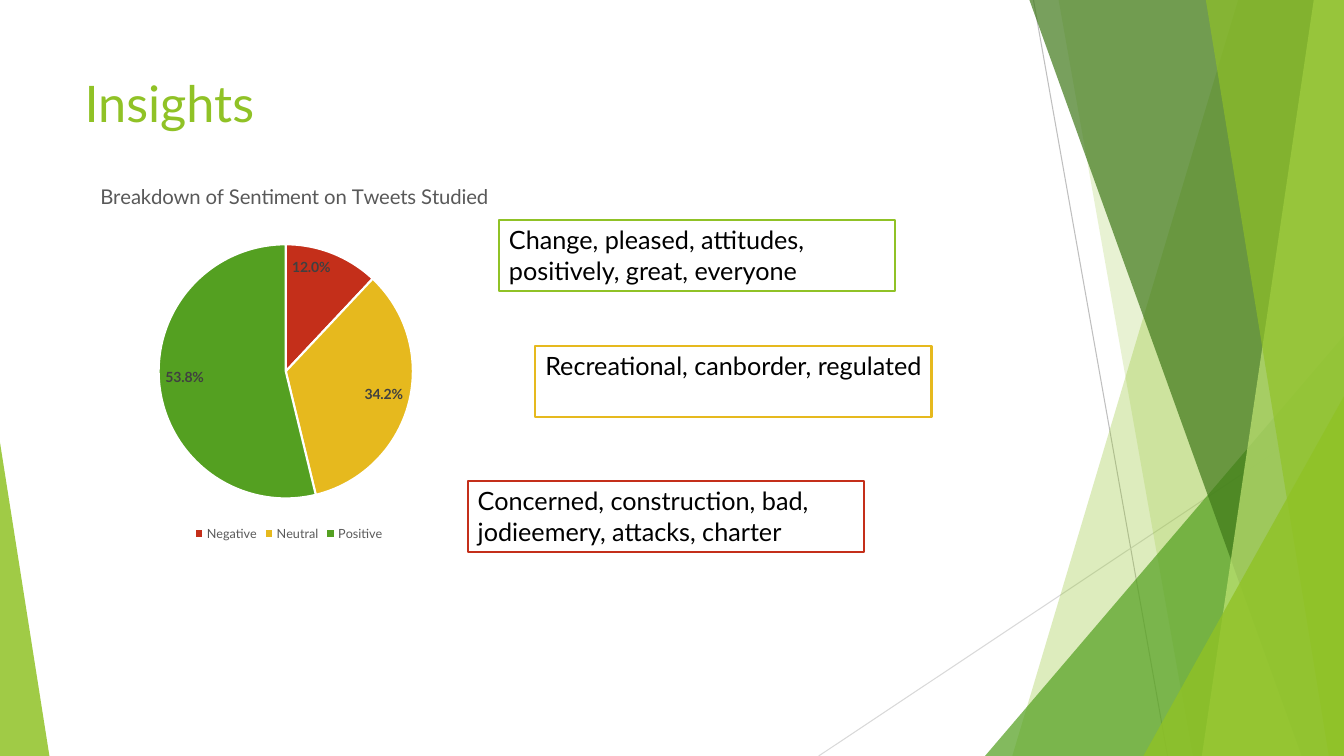
from dataclasses import dataclass

from pptx import Presentation
from pptx.chart.data import CategoryChartData
from pptx.dml.color import RGBColor
from pptx.enum.chart import XL_CHART_TYPE, XL_LABEL_POSITION as LabelPosition, XL_LEGEND_POSITION
from pptx.enum.shapes import MSO_CONNECTOR, MSO_SHAPE
from pptx.enum.text import MSO_ANCHOR
from pptx.oxml import parse_xml
from pptx.oxml.ns import nsdecls, qn
from pptx.oxml.xmlchemy import OxmlElement
from pptx.util import Inches, Pt


@dataclass(frozen=True)
class Theme:
    font: str = "Lato"
    lime: str = "90C226"
    green: str = "54A021"
    forest: str = "3F7819"
    pale: str = "C0E474"
    amber: str = "E6B91E"
    red: str = "C42F1A"
    white: str = "FFFFFF"
    black: str = "000000"
    dark_gray: str = "404040"
    gray: str = "595959"
    ray: str = "BFBFBF"
    light_ray: str = "D9D9D9"
    title_size: float = 36
    words_size: float = 18
    chart_title_size: float = 14.5
    label_size: float = 10
    legend_size: float = 9


@dataclass(frozen=True)
class Ray:
    start: tuple[float, float]
    end: tuple[float, float]
    color: str


@dataclass(frozen=True)
class Facet:
    """Full-height band from a slanted left edge to the right slide edge."""
    top_x: float
    bottom_x: float
    color: str
    opacity: int


@dataclass(frozen=True)
class Corner:
    """Right triangle standing on the bottom slide edge."""
    left: float
    top: float
    width: float
    apex: float
    color: str
    opacity: int


@dataclass(frozen=True)
class Sentiment:
    name: str
    share: float
    color: str
    words: str
    left: float
    top: float


THEME = Theme()
WIDTH, HEIGHT = 13.33, 7.5

RAYS = [
    Ray((10.25, 0), (11.58, HEIGHT), THEME.ray),
    Ray((WIDTH, 4.03), (8.12, HEIGHT), THEME.light_ray),
]
DECORATION = [
    Facet(12.28, 10.04, THEME.lime, 30),
    Facet(10.5, 11.83, THEME.lime, 20),
    Corner(9.77, 3.33, 3.56, 1, THEME.green, 72),
    Facet(10.21, 12.91, THEME.forest, 70),
    Facet(13.03, 11.92, THEME.pale, 70),
    Facet(11.96, 13.18, THEME.lime, 65),
    Corner(11.34, 3.93, 1.99, 1, THEME.lime, 80),
    Corner(0, 4.39, 0.49, 0, THEME.lime, 85),
]
SENTIMENTS = [
    Sentiment("Negative", 0.12, THEME.red,
              "Concerned, construction, bad, jodieemery, attacks, charter", 4.64, 4.77),
    Sentiment("Neutral", 0.342, THEME.amber,
              "Recreational, canborder, regulated", 5.31, 3.43),
    Sentiment("Positive", 0.538, THEME.green,
              "Change, pleased, attitudes, positively, great, everyone", 4.95, 2.18),
]


def style_font(font, size: float, color: str, bold: bool = False) -> None:
    font.name, font.size, font.bold = THEME.font, Pt(size), bold
    font.color.rgb = RGBColor.from_string(color)


def paint(shape, color: str, opacity: int = 100) -> None:
    shape.shadow.inherit = False
    shape.fill.solid()
    shape.fill.fore_color.rgb = RGBColor.from_string(color)
    shape.line.fill.background()
    if opacity < 100:
        alpha = OxmlElement("a:alpha")
        alpha.set("val", str(opacity * 1000))
        shape.fill._xPr.find(qn("a:solidFill"))[0].append(alpha)


def write(frame, text: str, size: float, color: str) -> None:
    frame.word_wrap = True
    frame.vertical_anchor = MSO_ANCHOR.TOP
    run = frame.paragraphs[0].add_run()
    run.text = text
    style_font(run.font, size, color)


def draw_ray(shapes, ray: Ray) -> None:
    line = shapes.add_connector(MSO_CONNECTOR.STRAIGHT, *map(Inches, ray.start + ray.end))
    line.line.color.rgb = RGBColor.from_string(ray.color)
    line.line.width = Pt(0.75)
    line._element.spPr.append(OxmlElement("a:effectLst"))


def draw_facet(shapes, facet: Facet) -> None:
    outline = shapes.build_freeform(Inches(facet.top_x), 0)
    corners = [(WIDTH, 0), (WIDTH, HEIGHT), (facet.bottom_x, HEIGHT)]
    outline.add_line_segments([(Inches(x), Inches(y)) for x, y in corners])
    paint(outline.convert_to_shape(), facet.color, facet.opacity)


def draw_corner(shapes, corner: Corner) -> None:
    triangle = shapes.add_shape(
        MSO_SHAPE.ISOSCELES_TRIANGLE, Inches(corner.left), Inches(corner.top),
        Inches(corner.width), Inches(HEIGHT - corner.top))
    triangle.adjustments[0] = corner.apex
    paint(triangle, corner.color, corner.opacity)


def draw_words(shapes, sentiment: Sentiment, border: str) -> None:
    box = shapes.add_shape(MSO_SHAPE.RECTANGLE, Inches(sentiment.left), Inches(sentiment.top),
                           Inches(3.93), Inches(0.71))
    paint(box, THEME.white)
    box.line.color.rgb = RGBColor.from_string(border)
    box.line.width = Pt(1.5)
    box.text_frame.margin_right = Inches(0.05)
    write(box.text_frame, sentiment.words, THEME.words_size, THEME.black)
    box.text_frame.paragraphs[0].alignment = 1


def place(parent, **fractions: float) -> None:
    """Set a manual layout, in fractions of the chart area."""
    target = '<c:layoutTarget val="inner"/>' if "w" in fractions else ""
    modes = "".join(f'<c:{axis}Mode val="edge"/>' for axis in "xy")
    values = "".join(f'<c:{key} val="{value}"/>' for key, value in fractions.items())
    layout = parse_xml(f'<c:layout {nsdecls("c")}><c:manualLayout>{target}{modes}{values}'
                       '</c:manualLayout></c:layout>')
    for old in parent.findall(qn("c:layout")):
        parent.remove(old)
    text = parent.find(qn("c:tx"))
    parent.insert(0 if text is None else parent.index(text) + 1, layout)


def draw_breakdown(shapes, sentiments: list[Sentiment]) -> None:
    data = CategoryChartData(number_format="0.0%")
    data.categories = [s.name for s in sentiments]
    data.add_series("Series 1", [s.share for s in sentiments])
    chart = shapes.add_chart(XL_CHART_TYPE.PIE, Inches(-0.21), Inches(1.62),
                             Inches(6.15), Inches(3.79), data).chart
    style_font(chart.font, THEME.label_size, THEME.black)

    chart.has_title = True
    write(chart.chart_title.text_frame, "Breakdown of Sentiment on Tweets Studied",
          THEME.chart_title_size, THEME.gray)
    place(chart.chart_title._element, x=0.19, y=0.04)
    place(chart._chartSpace.chart.plotArea, x=0.29, y=0.21, w=0.41, h=0.67)

    chart.has_legend = True
    chart.legend.position = XL_LEGEND_POSITION.BOTTOM
    chart.legend.include_in_layout = False
    style_font(chart.legend.font, THEME.legend_size, THEME.gray)

    pie = chart.plots[0]
    pie.vary_by_categories = True
    for index, sentiment in enumerate(sentiments):
        slice_format = pie.series[0].points[index].format
        slice_format.fill.solid()
        slice_format.fill.fore_color.rgb = RGBColor.from_string(sentiment.color)
        slice_format.line.color.rgb = RGBColor.from_string(THEME.white)
        slice_format.line.width = Pt(1.5)
    labels = pie.series[0].data_labels
    labels.show_value = True
    labels.number_format, labels.number_format_is_linked = "0.0%", False
    labels.position = LabelPosition.INSIDE_END
    style_font(labels.font, THEME.label_size, THEME.dark_gray, bold=True)


prs = Presentation()
prs.slide_width, prs.slide_height = Inches(WIDTH), Inches(HEIGHT)
shapes = prs.slides.add_slide(prs.slide_layouts[6]).shapes

# Background decoration
for ray in RAYS:
    draw_ray(shapes, ray)
for piece in DECORATION:
    if isinstance(piece, Facet):
        draw_facet(shapes, piece)
    else:
        draw_corner(shapes, piece)

# Heading
heading = shapes.add_textbox(Inches(0.74), Inches(0.67), Inches(9.4), Inches(1.44))
write(heading.text_frame, "Insights", THEME.title_size, THEME.lime)

# Sentiment chart and its typical words, positive first
draw_breakdown(shapes, SENTIMENTS)
for sentiment in reversed(SENTIMENTS):
    border = THEME.lime if sentiment.name == "Positive" else sentiment.color
    draw_words(shapes, sentiment, border)

prs.save("out.pptx")
